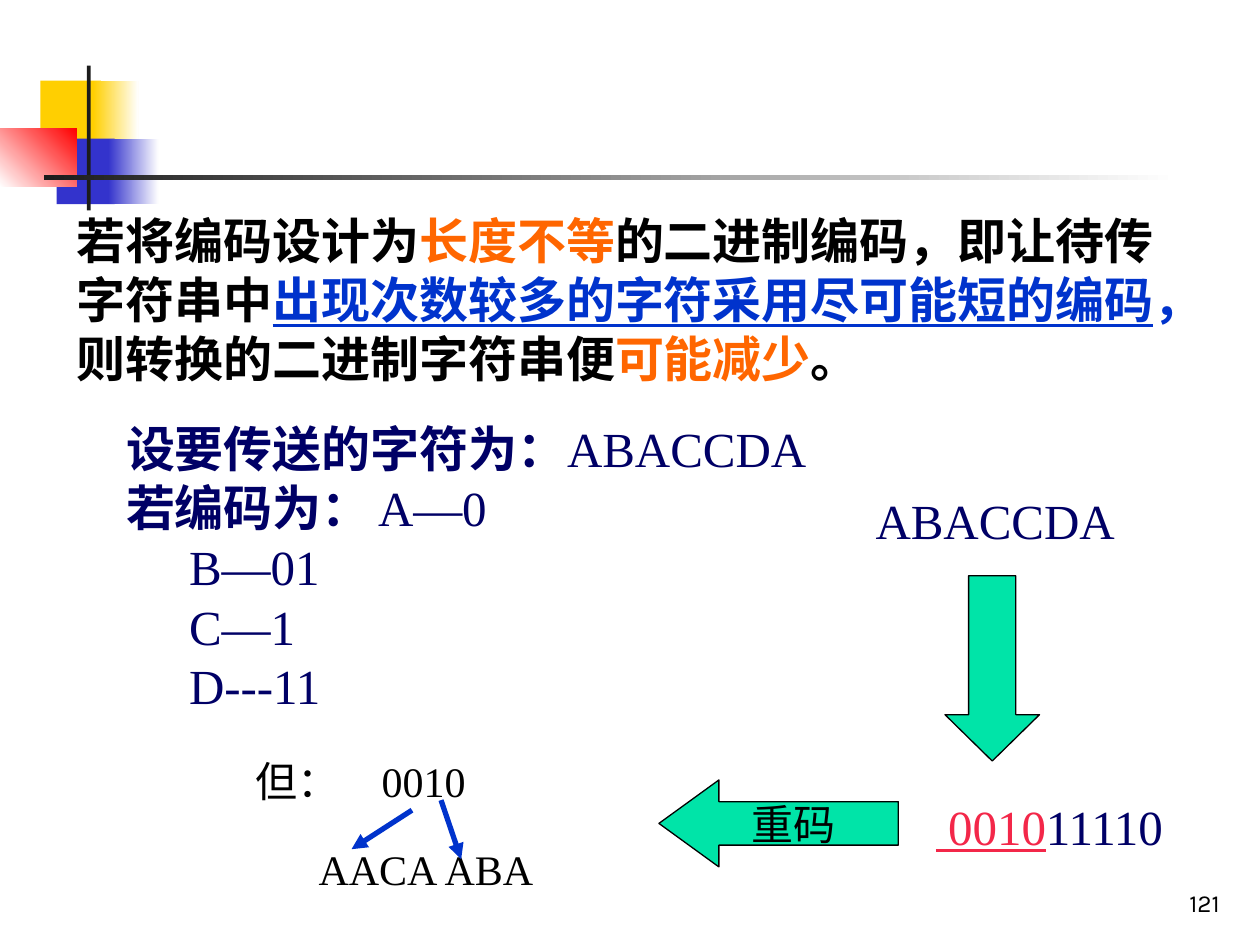
from dataclasses import dataclass
from typing import NamedTuple, Optional

from lxml import etree
from pptx import Presentation
from pptx import util as u
from pptx.dml.color import RGBColor
from pptx.enum import shapes, text
from pptx.oxml import ns


@dataclass(frozen=True)
class Theme:
    serif: str = "Times New Roman"
    sans: str = "Karla"
    black: str = "000000"
    white: str = "FFFFFF"
    ink: str = "1C1C1C"
    navy: str = "000066"
    blue: str = "0033CC"
    orange: str = "FF6600"
    crimson: str = "F32749"
    green: str = "00E4A8"
    yellow: str = "FFCF01"
    violet: str = "3333CC"
    red: str = "FF0000"
    body: int = 28
    small: int = 24
    number: int = 14


T = Theme()


class Box(NamedTuple):
    left: float
    top: float
    width: float
    height: float

    def emu(self) -> list:
        return [u.Inches(v) for v in self]


class Run(NamedTuple):
    words: str
    color: str = T.black
    bold: bool = False
    underline: bool = False


class Para(NamedTuple):
    runs: list
    tabs: tuple = ()
    before: float = 0
    spacing: float = 1.0
    align: text.PP_ALIGN = text.PP_ALIGN.LEFT


class Bar(NamedTuple):
    box: Box
    color: str
    fade_to: Optional[str] = None
    angle: float = 0


def set_all(obj, values: dict) -> None:
    for name, value in values.items():
        setattr(obj, name, value)


def write(tf, paras: list, size: float, font: str = T.serif,
          anchor=text.MSO_ANCHOR.TOP, wrap: bool = True) -> None:
    """Fill a text frame with unbulleted paragraphs."""
    set_all(tf, {"word_wrap": wrap, "auto_size": text.MSO_AUTO_SIZE.NONE,
                 "vertical_anchor": anchor})
    for i, para in enumerate(paras):
        p = tf.paragraphs[0] if i == 0 else tf.add_paragraph()
        pPr = p._p.get_or_add_pPr()
        pPr.set("marL", "0")
        pPr.set("indent", "0")
        etree.SubElement(pPr, ns.qn("a:buNone"))
        if para.tabs:
            stops = etree.SubElement(pPr, ns.qn("a:tabLst"))
            for stop in para.tabs:
                etree.SubElement(stops, ns.qn("a:tab"),
                                 pos=str(u.Inches(stop)), algn="l")
        set_all(p, {"alignment": para.align, "line_spacing": para.spacing,
                    "space_before": u.Pt(para.before)})
        for run in para.runs:
            r = p.add_run()
            r.text = run.words
            set_all(r.font, {"name": font, "size": u.Pt(size),
                             "bold": run.bold, "underline": run.underline})
            r.font.color.rgb = RGBColor.from_string(run.color)


def place(sp, box: Box) -> None:
    set_all(sp, dict(zip(("left", "top", "width", "height"), box.emu())))


def add_text(s, box: Box, paras: list, size: float, **options) -> None:
    write(s.shapes.add_textbox(*box.emu()).text_frame, paras, size, **options)


def add_bar(s, bar: Bar) -> None:
    sp = s.shapes.add_shape(shapes.MSO_SHAPE.RECTANGLE, *bar.box.emu())
    sp.shadow.inherit = False
    sp.line.fill.background()
    if bar.fade_to is None:
        sp.fill.solid()
        sp.fill.fore_color.rgb = RGBColor.from_string(bar.color)
        return
    sp.fill.gradient()
    sp.fill.gradient_angle = bar.angle
    for stop, color in zip(sp.fill.gradient_stops, (bar.color, bar.fade_to)):
        stop.color.rgb = RGBColor.from_string(color)


def add_block_arrow(s, kind, box: Box, head: float):
    sp = s.shapes.add_shape(kind, *box.emu())
    sp.shadow.inherit = False
    sp.adjustments[0], sp.adjustments[1] = 0.5, head
    sp.fill.solid()
    sp.fill.fore_color.rgb = RGBColor.from_string(T.green)
    sp.line.color.rgb = RGBColor.from_string(T.black)
    sp.line.width = u.Pt(0.75)
    return sp


def add_pointer(s, x1: float, y1: float, x2: float, y2: float) -> None:
    cx = s.shapes.add_connector(shapes.MSO_CONNECTOR.STRAIGHT,
                                *[u.Inches(v) for v in (x1, y1, x2, y2)])
    cx.line.color.rgb = RGBColor.from_string(T.blue)
    cx.line.width = u.Pt(3)
    etree.SubElement(cx.line._get_or_add_ln(), ns.qn("a:tailEnd"), type="triangle")
    etree.SubElement(cx._element.spPr, ns.qn("a:effectLst"))


BARS = [
    Bar(Box(0.32, 0.64, 0.48, 0.52), T.yellow),
    Bar(Box(0.74, 0.64, 0.36, 0.52), T.yellow, T.white),
    Bar(Box(0.45, 1.1, 0.46, 0.52), T.violet),
    Bar(Box(0.86, 1.1, 0.4, 0.52), T.violet, T.white),
    Bar(Box(0, 1.02, 0.61, 0.46), T.white, T.red, 45),
    Bar(Box(0.69, 0.52, 0.03, 1.15), T.ink),
    Bar(Box(0.35, 1.39, 9, 0.04), T.ink, T.white),
]

INTRO = [
    Run("若将编码设计为", bold=True),
    Run("长度不等", T.orange, True),
    Run("的二进制编码，即让待传字符串中", bold=True),
    Run("出现次数较多的字符采用尽可能短的编码", T.blue, True, True),
    Run("，", T.blue, True),
    Run("则转换的二进制字符串便", bold=True),
    Run("可能减少", T.orange, True),
    Run("。", bold=True),
]

# Label, code and tab position of each line
CODES = [
    ("设要传送的字符为：", "ABACCDA", 3.59),
    ("若编码为：", "A—0", 2.48),
    ("", "B—01", 2.43),
    ("", "C—1", 2.46),
    ("", "D---11", 2.43),
]


def main() -> None:
    prs = Presentation()
    prs.slide_width, prs.slide_height = u.Inches(10), u.Inches(7.5)
    s = prs.slides.add_slide(prs.slide_layouts[3])
    title, intro, codes = s.placeholders
    title._element.getparent().remove(title._element)

    # Corner decoration
    for bar in BARS:
        add_bar(s, bar)

    # Introduction and code list
    place(intro, Box(0.51, 1.62, 8.9, 1.5))
    write(intro.text_frame, [Para(INTRO)], T.body)
    place(codes, Box(0.9, 3.36, 7.31, 2.7))
    lines = []
    for i, (label, code, tab) in enumerate(CODES):
        runs = [Run(label, T.navy, True)] if label else []
        runs.append(Run("\t" + code, T.navy))
        lines.append(Para(runs, (tab,), 7 if i else 0, 0.8))
    write(codes.text_frame, lines, T.body)

    # Encoding of the message
    add_block_arrow(s, shapes.MSO_SHAPE.DOWN_ARROW, Box(7.5, 4.57, 0.75, 1.47), 0.49)
    add_text(s, Box(6.85, 3.84, 2.15, 0.57), [Para([Run("ABACCDA", T.navy)])], T.body)
    add_text(s, Box(7.33, 6.27, 2.06, 0.57),
             [Para([Run(" 0010", T.crimson, underline=True),
                    Run("11110", T.navy)])], T.body)

    # Ambiguous decoding
    add_text(s, Box(1.93, 5.95, 3.41, 1.19),
             [Para([Run("但：\t0010")], (1.04,)),
              Para([Run("\tAACA\tABA")], (0.23, 1.39), 21)], T.small)
    clash = add_block_arrow(s, shapes.MSO_SHAPE.LEFT_ARROW,
                            Box(5.23, 6.19, 1.9, 0.69), 0.69)
    write(clash.text_frame, [Para([Run("重码")], align=text.PP_ALIGN.CENTER)],
          T.small, anchor=text.MSO_ANCHOR.MIDDLE, wrap=False)
    add_pointer(s, 3.27, 6.43, 2.79, 6.74)
    add_pointer(s, 3.5, 6.35, 3.66, 6.82)

    # Page number
    add_text(s, Box(7.7, 6.83, 2.08, 0.5),
             [Para([Run("121")], spacing=0.8, align=text.PP_ALIGN.RIGHT)],
             T.number, font=T.sans, anchor=text.MSO_ANCHOR.BOTTOM)

    prs.save("out.pptx")


if __name__ == "__main__":
    main()
